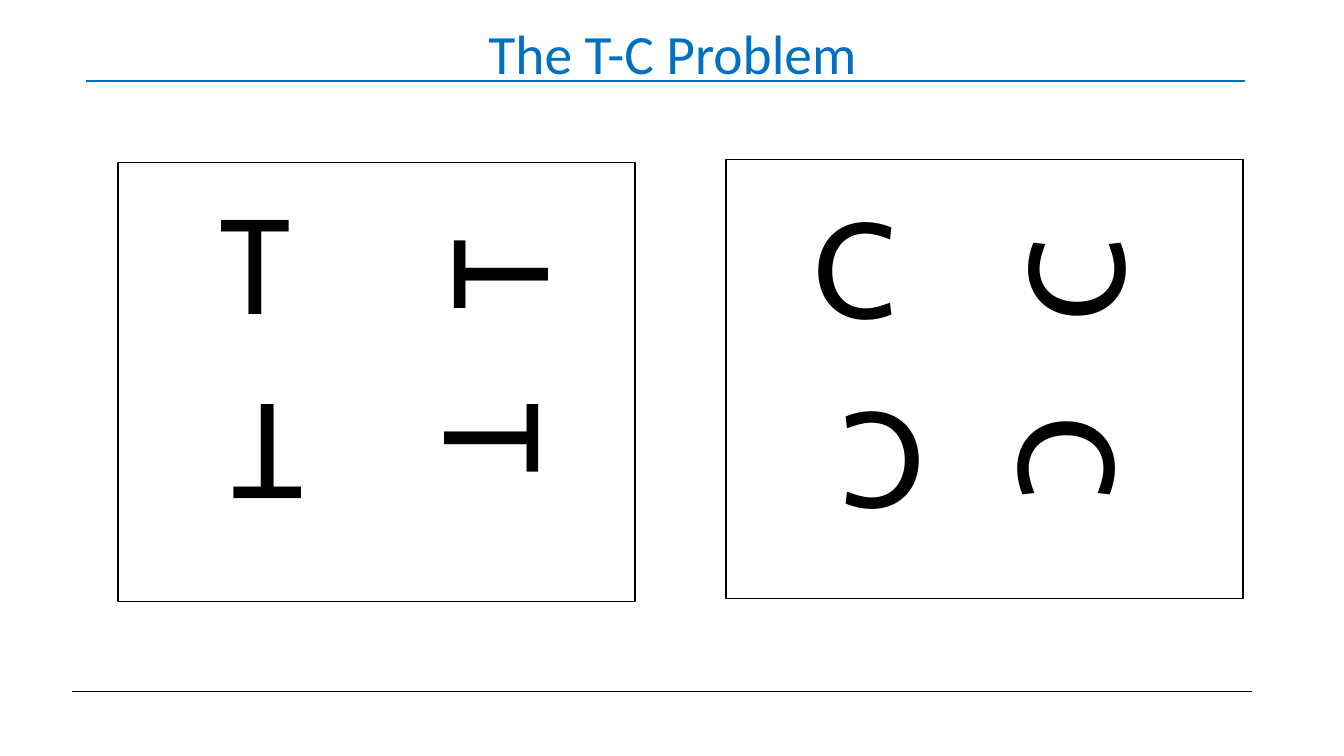
from lxml import etree
from pptx import Presentation
from pptx.dml.color import RGBColor
from pptx.enum.shapes import MSO_CONNECTOR, MSO_SHAPE
from pptx.enum.text import MSO_ANCHOR, MSO_AUTO_SIZE, PP_ALIGN
from pptx.oxml.ns import qn
from pptx.util import Pt

LINE = MSO_CONNECTOR.STRAIGHT
RECT = MSO_SHAPE.RECTANGLE
MIDDLE = MSO_ANCHOR.MIDDLE
NO_FIT = MSO_AUTO_SIZE.NONE
CENTER = PP_ALIGN.CENTER
PX = 9144
BLACK = "000000"
BLUE = "0070C0"

FRAMES = [(720, 158), (117, 161)]
LETTERS = [
    ("T", 208, 174, 0),
    ("T", 416, 156, 270),
    ("T", 160, 368, 180),
    ("T", 418, 379, 90),
    ("C", 797, 178, 0),
    ("C", 998, 178, 270),
    ("C", 797, 376, 180),
    ("C", 998, 382, 90),
]
WIDTHS = {"T": 151, "C": 130}


def px(*nums):
    return [n * PX for n in nums]


def color(hue):
    return RGBColor.from_string(hue)


def style(para, face, size, hue):
    para.font.name = face
    para.font.size = Pt(size)
    para.font.color.rgb = color(hue)


def add_title(slide, text):
    title = slide.shapes.title
    title.left, title.top, title.width, title.height = px(92, 23, 1150, 67)
    frame = title.text_frame
    frame.text = text
    frame.auto_size = NO_FIT
    frame.vertical_anchor = MIDDLE
    para = frame.paragraphs[0]
    para.alignment = CENTER
    para.line_spacing = 0.9
    style(para, "Calibri", 39.6, BLUE)


def add_rule(slide, left, right, top, hue, width):
    rule = slide.shapes.add_connector(LINE, *px(left, top, right, top))
    rule.line.color.rgb = color(hue)
    rule.line.width = Pt(width)
    etree.SubElement(rule._element.spPr, qn("a:effectLst"))


def add_frame(slide, left, top):
    box = slide.shapes.add_shape(RECT, *px(left, top, 513, 436))
    box.shadow.inherit = False
    box.fill.background()
    box.line.color.rgb = color(BLACK)
    box.line.width = Pt(1)


def add_letter(slide, text, left, top, turn):
    box = slide.shapes.add_textbox(*px(left, top, WIDTHS[text], 172))
    box.rotation = turn
    frame = box.text_frame
    frame.word_wrap = True
    frame.text = text
    style(frame.paragraphs[0], "Cabin", 96, BLACK)


def main():
    deck = Presentation()
    deck.slide_width, deck.slide_height = px(1333, 750)
    slide = deck.slides.add_slide(deck.slide_layouts[5])
    add_rule(slide, 71, 1242, 686, BLACK, 0.5)
    for spot in FRAMES:
        add_frame(slide, *spot)
    add_title(slide, "The T-C Problem")
    add_rule(slide, 85, 1235, 80, BLUE, 1.5)
    for letter in LETTERS:
        add_letter(slide, *letter)
    deck.save("out.pptx")


if __name__ == "__main__":
    main()
